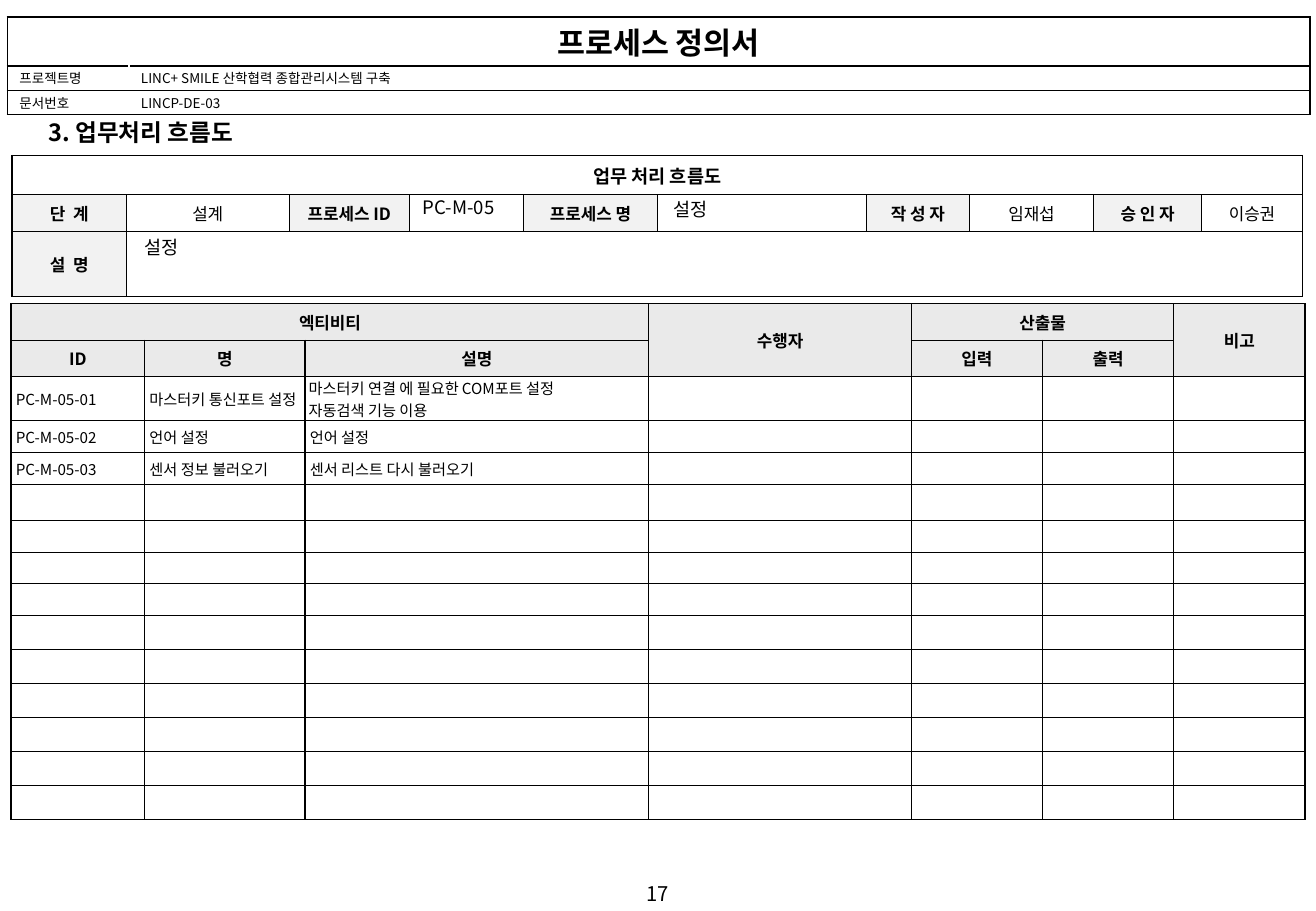
from lxml import etree
from pptx import Presentation
from pptx import util as u
from pptx.dml.color import RGBColor
from pptx.enum import text
from pptx.oxml.ns import qn

W, H = 10.83, 7.5
FONT = "Noto Sans CJK KR"
BLACK, WHITE, LIGHT, GREY = "000000", "FFFFFF", "F2F2F2", "EAEAEA"
LEFT, CENTER = text.PP_ALIGN.LEFT, text.PP_ALIGN.CENTER
TOP, MIDDLE = text.MSO_ANCHOR.TOP, text.MSO_ANCHOR.MIDDLE


def style(size, bold=False, align=CENTER, fill=WHITE, anchor=MIDDLE, margins=(0.1, 0.05)):
    return dict(size=size, bold=bold, align=align, fill=fill, anchor=anchor, margins=margins)


DOC_TITLE = style(18, True, anchor=TOP, margins=(0.1, 0.02))
DOC_INFO = style(8, align=LEFT, anchor=TOP, margins=(0.1, 0.02))
FLOW_TITLE = style(11, True)
FLOW_LABEL = style(10, True, fill=LIGHT)
FLOW_VALUE = style(10)
HEAD = style(10, True, fill=GREY)
BODY = style(9, align=LEFT, fill=None, margins=(0.04, 0.04))
DETAIL = style(9, align=LEFT, fill=None, margins=(0.03, 0))

document = dict(
    at=(0.06, 0.14), cols=[1, 9.72], rows=[0.4, 0.2, 0.2], line=1,
    spans=[(0, 0, 0, 1)],
    cells=[["프로세스 정의서"],
           ["프로젝트명", "LINC+ SMILE 산학협력 종합관리시스템 구축"],
           ["문서번호", "LINCP-DE-03"]],
    look=lambda row, col: DOC_INFO if row else DOC_TITLE,
    hidden=lambda row, col, side: row and (col, side) in ((0, "R"), (1, "L")))

flow = dict(
    at=(0.1, 1.28), rows=[0.32, 0.3, 0.54], line=0.75,
    cols=[0.94, 1.34, 0.99, 0.94, 1.1, 1.72, 0.85, 1.02, 0.89, 0.83],
    spans=[(0, 0, 0, 9), (2, 1, 2, 9)],
    cells=[["업무 처리 흐름도"],
           ["단  계", "설계", "프로세스 ID", "", "프로세스 명", "",
            "작 성 자", "임재섭", "승 인 자", "이승권"],
           ["설  명"]],
    look=lambda row, col: (FLOW_TITLE if row == 0 else
                           FLOW_VALUE if col % 2 or (row == 2 and col) else FLOW_LABEL))

activities = dict(
    at=(0.09, 2.5), cols=[1.1, 1.32, 2.83, 2.16, 1.08, 1.08, 1.08], line=0.75,
    rows=[0.3, 0.3, 0.36, 0.26, 0.26, 0.3] + [0.26] * 3 + [0.28] * 6,
    spans=[(0, 0, 0, 2), (0, 3, 1, 3), (0, 4, 0, 5), (0, 6, 1, 6)],
    cells=[["엑티비티", "", "", "수행자", "산출물", "", "비고"],
           ["ID", "명", "설명", "", "입력", "출력"],
           ["PC-M-05-01", "마스터키 통신포트 설정",
            "마스터키 연결 에 필요한 COM포트 설정\n자동검색 기능 이용"],
           ["PC-M-05-02", "언어 설정", "언어 설정"],
           ["PC-M-05-03", "센서 정보 불러오기", "센서 리스트 다시 불러오기"]],
    look=lambda row, col: HEAD if row < 2 else DETAIL if (row, col) == (2, 2) else BODY)

labels = [
    ("3. 업무처리 흐름도", (0.3, 0.92, 2.2, 0.34), 14, True, LEFT),
    ("PC-M-05", (3.38, 1.56, 0.93, 0.29), 11, False, LEFT),
    ("설정", (5.44, 1.58, 1.71, 0.29), 11, False, LEFT),
    ("설정", (1.09, 1.89, 9.53, 0.29), 11, False, LEFT),
    ("17", (0, 7.21, W, 0.3), 12, False, CENTER),
]


def rgb(code):
    return RGBColor.from_string(code)


def write(tf, words, size, bold, align):
    for i, line in enumerate(words.split("\n")):
        p = tf.add_paragraph() if i else tf.paragraphs[0]
        p.alignment = align
        if not line:
            etree.SubElement(p._p, qn("a:endParaRPr"), sz=str(size * 100))
            continue
        r = p.add_run()
        r.text = line
        r.font.size, r.font.bold, r.font.name = u.Pt(size), bold, FONT
        r.font.color.rgb = rgb(BLACK)
        etree.SubElement(r._r.get_or_add_rPr(), qn("a:ea"), typeface=FONT)


def border(cell, side, color, width):
    ln = etree.SubElement(cell._tc.get_or_add_tcPr(), qn("a:ln" + side), w=str(u.Pt(width)))
    etree.SubElement(etree.SubElement(ln, qn("a:solidFill")), qn("a:srgbClr"), val=color)


def add_grid(s, at, cols, rows, line, spans, cells, look, hidden=lambda *place: False):
    size = [u.Inches(v) for v in (*at, sum(cols), sum(rows))]
    table = s.shapes.add_table(len(rows), len(cols), *size).table
    table.first_row = table.horz_banding = False
    for col, width in zip(table.columns, cols):
        col.width = u.Inches(width)
    for row, height in zip(table.rows, rows):
        row.height = u.Inches(height)
    for i in range(len(rows)):
        for j in range(len(cols)):
            cell, st = table.cell(i, j), look(i, j)
            across, down = (u.Inches(m) for m in st["margins"])
            cell.margin_left = cell.margin_right = across
            cell.margin_top = cell.margin_bottom = down
            cell.vertical_anchor = st["anchor"]
            for side in "LRTB":
                width = 1 if side == "L" and j == 0 else line
                border(cell, side, WHITE if hidden(i, j, side) else BLACK, width)
            if st["fill"]:
                cell.fill.solid()
                cell.fill.fore_color.rgb = rgb(st["fill"])
            else:
                cell.fill.background()
            words = cells[i][j] if i < len(cells) and j < len(cells[i]) else ""
            write(cell.text_frame, words, st["size"], st["bold"], st["align"])
    for top, left, bottom, right in spans:
        table.cell(top, left).merge(table.cell(bottom, right))


prs = Presentation()
prs.slide_width, prs.slide_height = u.Inches(W), u.Inches(H)
s = prs.slides.add_slide(prs.slide_layouts[6])
for grid in (document, flow, activities):
    add_grid(s, **grid)
for words, box, size, bold, align in labels:
    tf = s.shapes.add_textbox(*(u.Inches(v) for v in box)).text_frame
    tf.word_wrap = True
    write(tf, words, size, bold, align)
prs.save("out.pptx")
